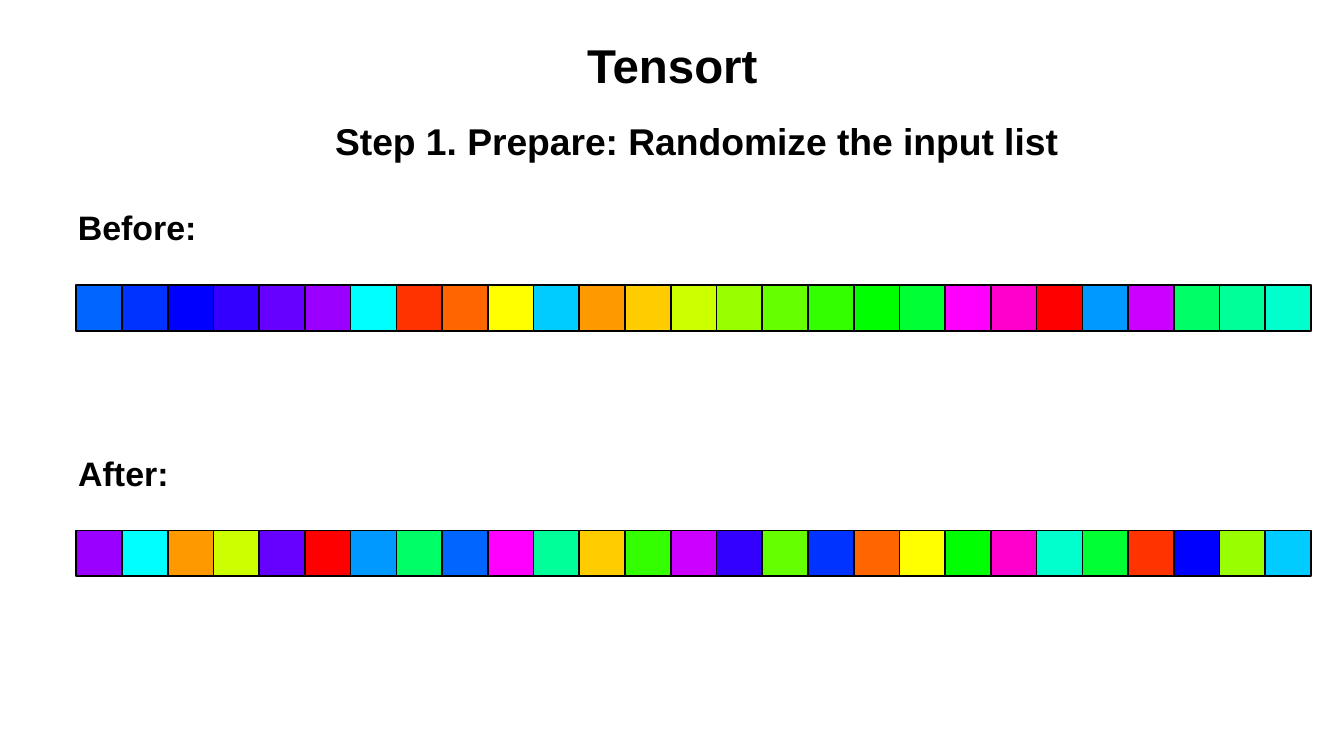
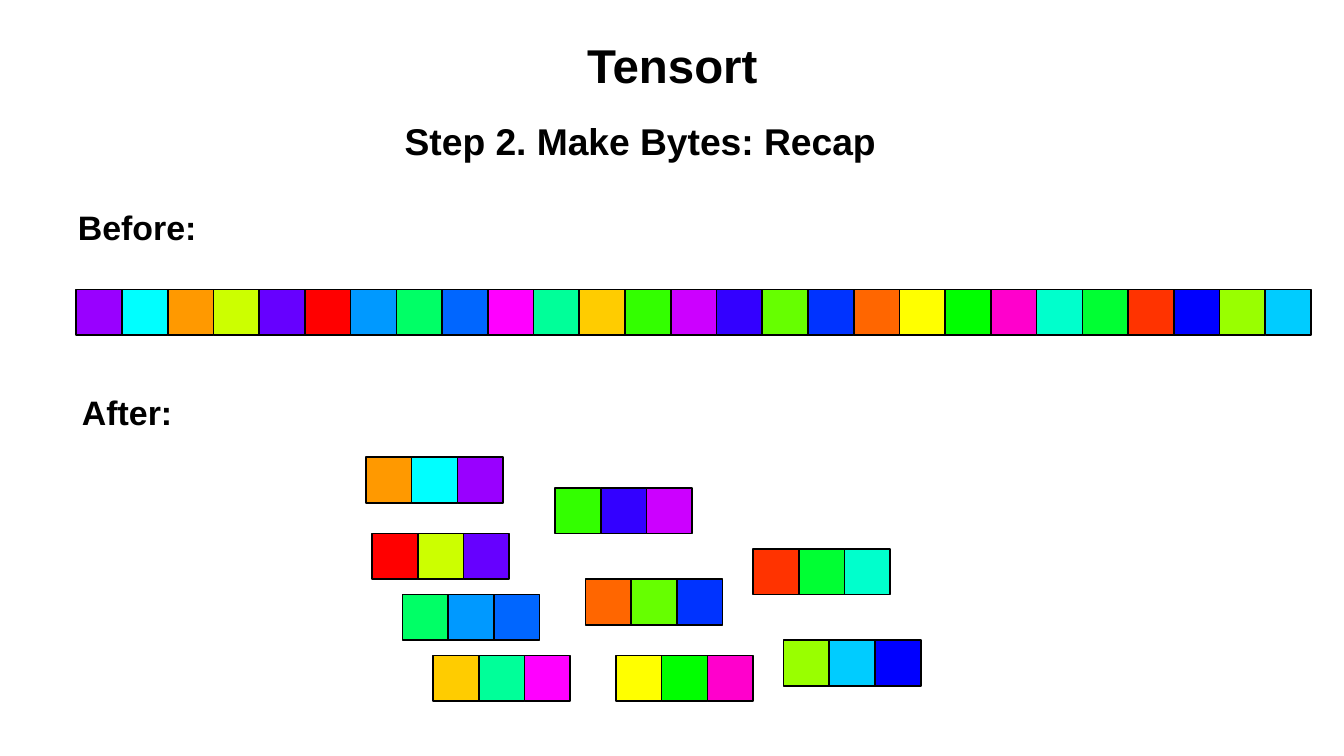
from colorsys import hsv_to_rgb
from dataclasses import dataclass

from pptx import Presentation
from pptx import util as u
from pptx.dml.color import RGBColor
from pptx.enum import shapes, text


@dataclass(frozen=True)
class Theme:
    """Colours, type sizes and grid measures shared by all slides."""
    font: str = "Arial"
    ink: RGBColor = RGBColor(0, 0, 0)
    paper: RGBColor = RGBColor(255, 255, 255)
    title_size: int = 28
    step_size: int = 22
    label_size: int = 20
    outline: int = 1
    hue_steps: int = 30
    unit: float = 0.125
    tile: int = 3

    def hue(self, value):
        """Return the colour that stands for a list value."""
        channels = hsv_to_rgb(value / self.hue_steps, 1, 1)
        return RGBColor(*(round(channel * 255) for channel in channels))


class Deck:
    """Draws titles, labels and rows of tiles on the current slide."""

    def __init__(self, theme):
        self.theme = theme
        self.presentation = Presentation()
        self.presentation.slide_width = u.Inches(11.02)
        self.presentation.slide_height = u.Inches(6.2)
        self.slide = None

    def grid(self, *counts):
        return [u.Inches(count * self.theme.unit) for count in counts]

    def set_text(self, shape, words, size, anchor, align):
        frame = shape.text_frame
        frame.word_wrap = True
        frame.auto_size = text.MSO_AUTO_SIZE.NONE
        frame.vertical_anchor = anchor
        paragraph = frame.paragraphs[0]
        paragraph.alignment = align
        run = paragraph.add_run()
        run.text = words
        run.font.name = self.theme.font
        run.font.size = u.Pt(size)
        run.font.bold = True
        run.font.color.rgb = self.theme.ink

    def set_centred_text(self, shape, words, size):
        frame = shape.text_frame
        frame.margin_left = frame.margin_right = 0
        frame.margin_top = frame.margin_bottom = 0
        self.set_text(shape, words, size, text.MSO_ANCHOR.MIDDLE, text.PP_ALIGN.CENTER)

    def start(self, words):
        layout = self.presentation.slide_layouts.get_by_name("Title Only")
        self.slide = self.presentation.slides.add_slide(layout)
        fill = self.slide.background.fill
        fill.solid()
        fill.fore_color.rgb = self.theme.paper
        title = self.slide.shapes.title
        title.left, title.top, title.width, title.height = self.grid(4.4, 0.1, 79.4, 8.3)
        self.set_centred_text(title, words, self.theme.title_size)

    def step(self, words, column, width):
        box = self.slide.shapes.add_textbox(*self.grid(column, 7.36, width, 6.24))
        self.set_text(box, words, self.theme.step_size, text.MSO_ANCHOR.TOP, text.PP_ALIGN.LEFT)

    def label(self, words, column, row):
        box = self.slide.shapes.add_textbox(*self.grid(column, row, 15.4, 6))
        self.set_centred_text(box, words, self.theme.label_size)

    def tiles(self, values, column, row):
        group = self.slide.shapes.add_group_shape()
        side = self.theme.tile
        for index, value in enumerate(values):
            tile = group.shapes.add_shape(
                shapes.MSO_SHAPE.RECTANGLE,
                *self.grid(column + index * side, row, side, side))
            tile.shadow.inherit = False
            tile.fill.solid()
            tile.fill.fore_color.rgb = self.theme.hue(value)
            tile.line.color.rgb = self.theme.ink
            tile.line.width = u.Pt(self.theme.outline)


TITLE = "Tensort"
STRIP_COLUMN = 5
BYTE_LENGTH = 3
INPUT_LIST = [18, 19, 20, 21, 22, 23, 15, 1, 2, 5, 16, 3, 4, 6,
              7, 8, 9, 10, 11, 25, 26, 0, 17, 24, 12, 13, 14]
RANDOM_LIST = [23, 15, 3, 6, 22, 0, 17, 12, 18, 25, 13, 4, 9, 24,
               21, 8, 19, 2, 5, 10, 26, 14, 11, 1, 20, 7, 16]
BYTE_PLACES = [(24, 30), (24.4, 35), (26.4, 39), (28.4, 43), (36.4, 32),
               (38.4, 38), (40.4, 43), (49.4, 36), (51.4, 42)]


def randomize_slide(deck):
    deck.start(TITLE)
    deck.step("Step 1. Prepare: Randomize the input list", 21.2, 52)
    deck.label("Before:", 1.3, 11.9)
    deck.tiles(INPUT_LIST, STRIP_COLUMN, 18.7)
    deck.label("After:", 0.4, 28)
    deck.tiles(RANDOM_LIST, STRIP_COLUMN, 34.8)


def bytes_slide(deck):
    deck.start(TITLE)
    deck.step("Step 2. Make Bytes: Recap", 25.76, 47.7)
    deck.label("Before:", 1.3, 11.9)
    deck.tiles(RANDOM_LIST, STRIP_COLUMN, 19)
    deck.label("After:", 0.64, 24)
    for index, (column, row) in enumerate(BYTE_PLACES):
        first = index * BYTE_LENGTH
        deck.tiles(sorted(RANDOM_LIST[first:first + BYTE_LENGTH]), column, row)


def main():
    deck = Deck(Theme())
    randomize_slide(deck)
    bytes_slide(deck)
    deck.presentation.save("out.pptx")


if __name__ == "__main__":
    main()
